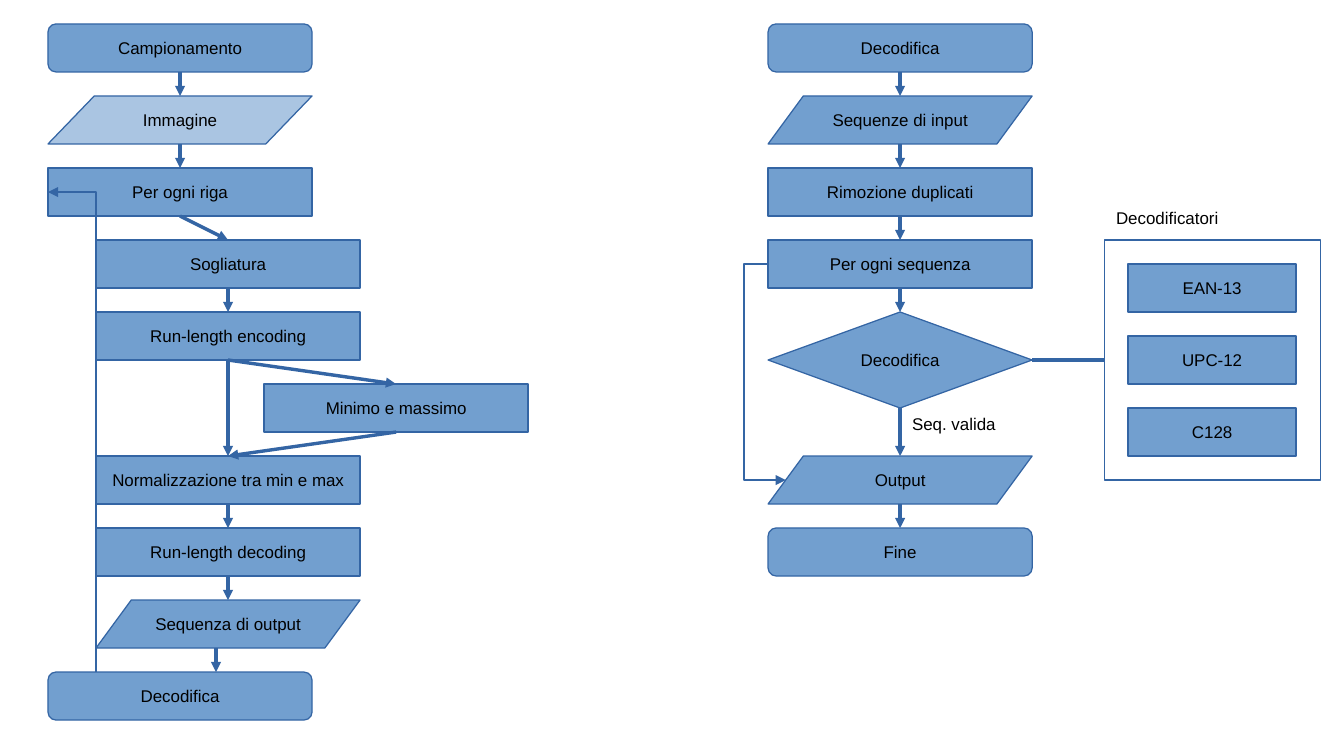
from lxml.etree import SubElement
from pptx import Presentation
from pptx.dml.color import RGBColor
from pptx.enum.shapes import MSO_CONNECTOR, MSO_SHAPE
from pptx.enum.text import MSO_ANCHOR, PP_ALIGN
from pptx.oxml.ns import qn
from pptx.util import Pt

COLORS = {"fill": "729FCF", "line": "3465A4", "text": "000000"}
UNIT = 28.35
STEP = 1.5 * UNIT
TOP = UNIT / 2
BOX_W = 5.5 * UNIT
RECT, ROUND = MSO_SHAPE.RECTANGLE, MSO_SHAPE.ROUNDED_RECTANGLE
DATA, DECISION = MSO_SHAPE.PARALLELOGRAM, MSO_SHAPE.DIAMOND


def row(i):
    return TOP + i * STEP


def write(tf, text, align=PP_ALIGN.LEFT, anchor=MSO_ANCHOR.TOP, wrap=False,
          size=10, font="Arial", color="text"):
    tf.word_wrap = wrap
    tf.vertical_anchor = anchor
    p = tf.paragraphs[0]
    p.alignment = align
    r = p.add_run()
    r.text = text
    r.font.size = Pt(size)
    r.font.name = font
    r.font.color.rgb = RGBColor.from_string(COLORS[color])


class Flowchart:
    """Draws flowchart elements in one style on the current slide."""

    def __init__(self, s):
        self.s = s

    def outline(self, sp, arrow=False):
        sp.line.color.rgb = RGBColor.from_string(COLORS["line"])
        sp.line.width = Pt(0)
        if arrow:
            SubElement(sp.line._get_or_add_ln(), qn("a:tailEnd"), type="triangle")

    def box(self, text, x, y, kind=RECT, w=BOX_W, h=UNIT, slant=0.734, alpha=None):
        sp = self.s.shapes.add_shape(kind, Pt(x), Pt(y), Pt(w), Pt(h))
        sp.shadow.inherit = False
        if kind == DATA:
            sp.adjustments[0] = slant
        sp.fill.solid()
        sp.fill.fore_color.rgb = RGBColor.from_string(COLORS["fill"])
        if alpha:
            color = sp._element.spPr.find(".//" + qn("a:srgbClr"))
            SubElement(color, qn("a:alpha"), val=str(alpha * 1000))
        self.outline(sp)
        write(sp.text_frame, text, PP_ALIGN.CENTER, MSO_ANCHOR.MIDDLE)
        return sp

    def frame(self, x, y, w, h):
        sp = self.s.shapes.add_shape(RECT, Pt(x), Pt(y), Pt(w), Pt(h))
        sp.shadow.inherit = False
        sp.fill.background()
        self.outline(sp)
        return sp

    def label(self, text, x, y, w, h, wrap=False):
        sp = self.s.shapes.add_textbox(Pt(x), Pt(y), Pt(w), Pt(h))
        write(sp.text_frame, text, wrap=wrap)

    def line(self, x1, y1, x2, y2, arrow=True):
        c = self.s.shapes.add_connector(MSO_CONNECTOR.STRAIGHT, x1, y1, x2, y2)
        self.outline(c, arrow)
        SubElement(c._element.spPr, qn("a:effectLst"))
        return c

    def link(self, a, b):
        c = self.line(a.left + a.width // 2, a.top + a.height,
                      b.left + b.width // 2, b.top)
        if a.auto_shape_type != DATA:
            c.begin_connect(a, 2)
        if b.auto_shape_type != DATA:
            c.end_connect(b, 0)

    def chain(self, *boxes):
        for a, b in zip(boxes, boxes[1:]):
            self.link(a, b)

    def route(self, *points):
        (x, y), *rest = [(Pt(x), Pt(y)) for x, y in points]
        builder = self.s.shapes.build_freeform(x, y)
        builder.add_line_segments(rest, close=False)
        sp = builder.convert_to_shape()
        sp.shadow.inherit = False
        sp.fill.background()
        self.outline(sp, arrow=True)


def draw_sampling(chart):
    outer, inner, side = UNIT, 2 * UNIT, 5.5 * UNIT
    start = chart.box("Campionamento", outer, row(0), ROUND)
    image = chart.box("Immagine", outer, row(1), DATA, slant=0.964, alpha=60)
    each_row = chart.box("Per ogni riga", outer, row(2))
    threshold = chart.box("Sogliatura", inner, row(3))
    encoding = chart.box("Run-length encoding", inner, row(4))
    min_max = chart.box("Minimo e massimo", side, row(5))
    normalise = chart.box("Normalizzazione tra min e max", inner, row(6))
    decoding = chart.box("Run-length decoding", inner, row(7))
    output = chart.box("Sequenza di output", inner, row(8), DATA)
    back_y, loop_y = row(9) + UNIT / 2, row(2) + UNIT / 2
    chart.route((outer, back_y), (inner, back_y), (inner, loop_y), (outer, loop_y))
    chart.box("Decodifica", outer, row(9), ROUND)
    chart.chain(start, image, each_row, threshold, encoding, min_max, normalise)
    chart.chain(encoding, normalise, decoding, output)
    exit_x = Pt(4.5 * UNIT)
    chart.line(exit_x, output.top + output.height, exit_x, Pt(row(9)))


def draw_decoding(chart):
    x = 16 * UNIT
    start = chart.box("Decodifica", x, row(0), ROUND)
    sequences = chart.box("Sequenze di input", x, row(1), DATA)
    unique = chart.box("Rimozione duplicati", x, row(2))
    each_sequence = chart.box("Per ogni sequenza", x, row(3))
    decode = chart.box("Decodifica", x, row(4), DECISION, h=2 * UNIT)
    output = chart.box("Output", x, row(6), DATA)
    end = chart.box("Fine", x, row(7), ROUND)
    chart.chain(start, sequences, unique, each_sequence, decode, output, end)
    from_y, to_y, bypass_x = row(3) + UNIT / 2, row(6) + UNIT / 2, x - UNIT / 2
    chart.route((x, from_y), (bypass_x, from_y), (bypass_x, to_y), (x + 10.4, to_y))
    chart.label("Seq. valida", x + BOX_W / 2, row(4) + 2 * UNIT, 120, UNIT, wrap=True)

    frame_x = 23 * UNIT
    for i, name in enumerate(["EAN-13", "UPC-12", "C128"]):
        chart.box(name, frame_x + UNIT / 2, row(3 + i) + UNIT / 2, w=3.5 * UNIT)
    frame = chart.frame(frame_x, row(3), 4.5 * UNIT, 5 * UNIT)
    chart.label("Decodificatori", frame_x, 118.8, 132.5, 18)
    c = chart.line(frame.left, frame.top, decode.left, decode.top, arrow=False)
    c.begin_connect(frame, 1)
    c.end_connect(decode, 3)


def main():
    prs = Presentation()
    prs.slide_width, prs.slide_height = Pt(793.7), Pt(446.46)
    chart = Flowchart(prs.slides.add_slide(prs.slide_layouts[6]))
    draw_sampling(chart)
    draw_decoding(chart)
    prs.save("out.pptx")


if __name__ == "__main__":
    main()
